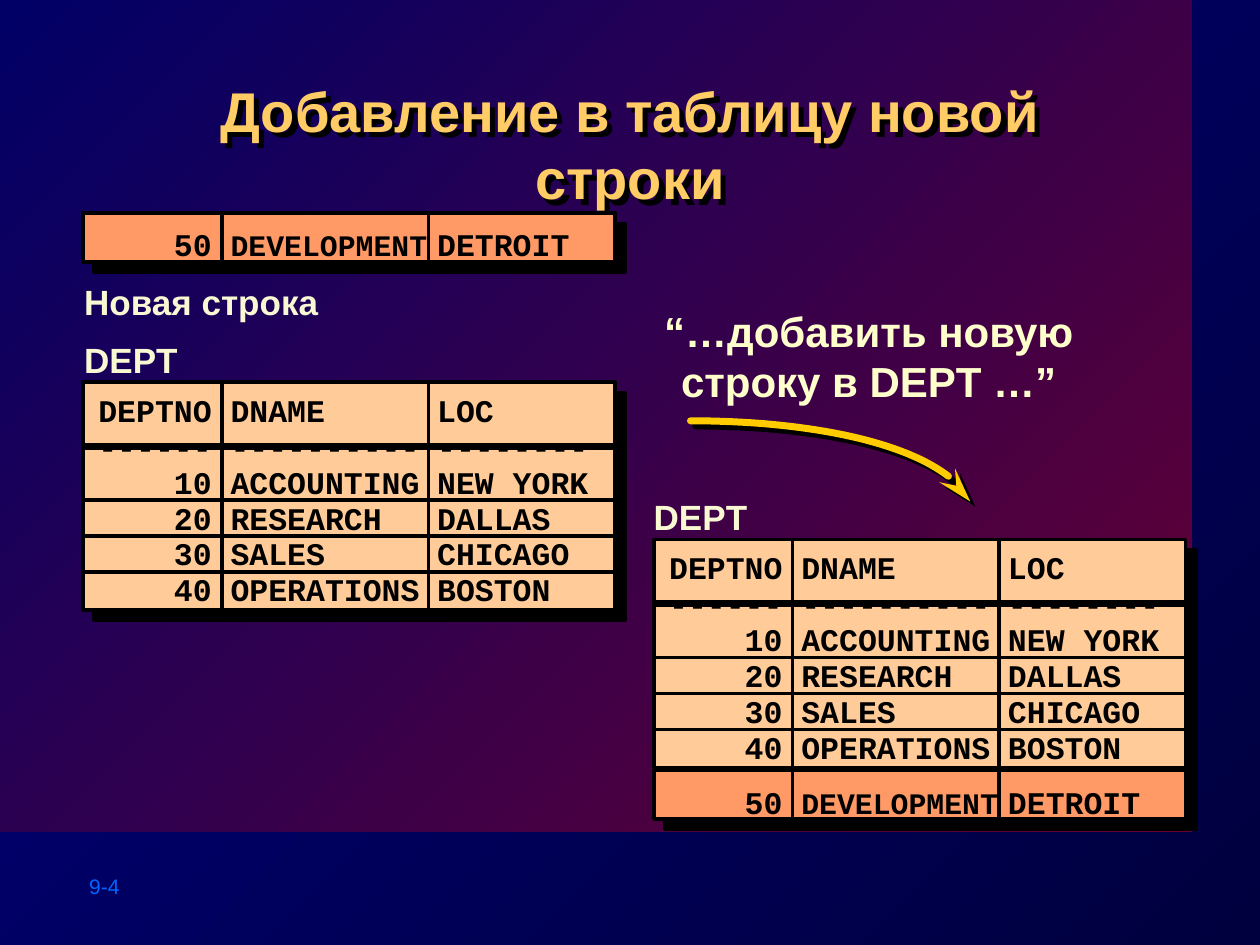
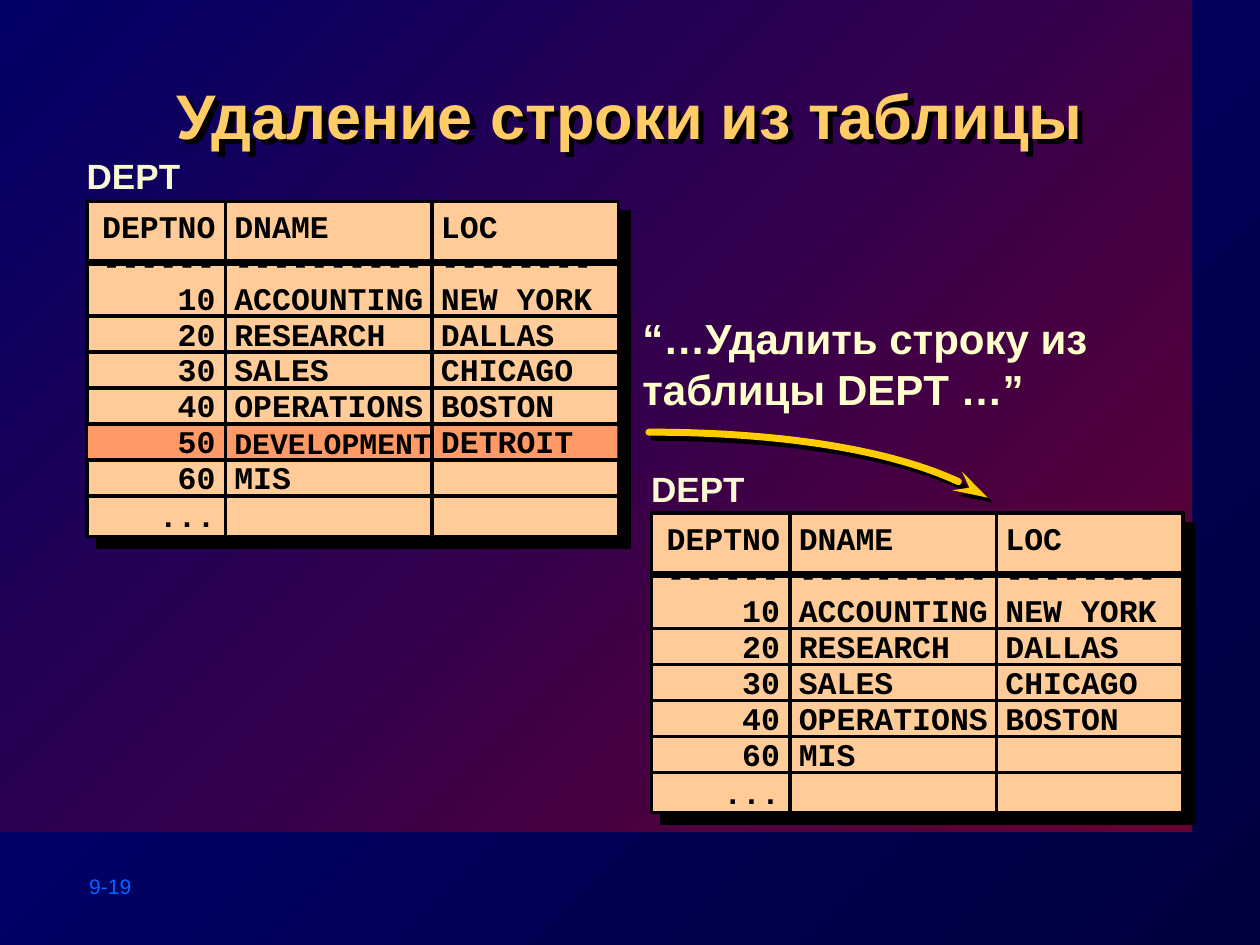
from dataclasses import dataclass
from typing import Optional

from lxml import etree
from pptx import Presentation
from pptx.dml.color import RGBColor as Rgb
from pptx.enum.shapes import MSO_CONNECTOR as Connector, MSO_SHAPE as Preset
from pptx.enum.text import PP_ALIGN as Align
from pptx.oxml.ns import qn
from pptx.util import Emu, Inches, Pt

# Grid: the slide is 100 columns by 75 rows of square cells
COLUMNS, ROWS = 100, 75
CELL = Inches(10) // COLUMNS


@dataclass(frozen=True)
class Theme:
    sans: str = "Arial"
    mono: str = "Courier New"
    black: str = "000000"
    page_dark: str = "00003F"
    page_light: str = "000080"
    band_dark: str = "660033"
    band_light: str = "000066"
    title: str = "FFCC66"
    label: str = "F8F8D3"
    quote: str = "FFFFCC"
    arrow: str = "FFCC00"
    number: str = "0066FF"
    table: str = "FFCC99"
    accent: str = "FF9966"
    label_size: float = 20
    quote_size: float = 24
    quote_spacing: float = 29
    number_size: float = 12
    cell_size: float = 18
    long_cell_size: float = 17
    cell_spacing: float = 20
    thin: float = 2
    thick: float = 4
    panel_shadow: float = 8.5
    small_shadow: float = 4.2


THEME = Theme()

# Measures of the department tables, in grid cells
TABLE_COLUMNS = (11, 16.4, 14.8)
TABLE_WIDTH = sum(TABLE_COLUMNS)
ROW_PITCH = 2.85
HEADER_RULE = 3.9
FIRST_ROW = 4.3
NUMBER_MARGIN = 0.8
TEXT_MARGIN = 0.7
OVERHANG = 0.5

# Table content
HEADER = [("DEPTNO", "DNAME", "LOC"), ("------", "----------", "--------")]
BASE_ROWS = [
    ("10", "ACCOUNTING", "NEW YORK"),
    ("20", "RESEARCH", "DALLAS"),
    ("30", "SALES", "CHICAGO"),
    ("40", "OPERATIONS", "BOSTON"),
]
DEVELOPMENT = ("50", "DEVELOPMENT", "DETROIT")
LAST_ROWS = [("60", "MIS", ""), ("...", "", "")]


@dataclass(frozen=True)
class DeptTable:
    left: float
    top: float
    height: float
    body: list
    text_drop: float
    has_header: bool = True
    color: str = THEME.table
    highlight: Optional[int] = None


@dataclass(frozen=True)
class Label:
    text: str
    left: float
    top: float


@dataclass(frozen=True)
class Quote:
    text: str
    left: float
    top: float
    align: Align


@dataclass(frozen=True)
class Page:
    title: str
    title_size: float
    number: str
    tables: list
    labels: list
    quote: Quote
    curve: tuple  # start, two control points, tip


PAGES = [
    Page(
        "Добавление в таблицу новой строки", 32, "9-4",
        [
            DeptTable(6.6, 30.3, 18.1, BASE_ROWS, 1.2),
            DeptTable(6.6, 16.9, 3.9, [DEVELOPMENT], 1.4, False, THEME.accent),
            DeptTable(51.9, 42.8, 18.1, BASE_ROWS, 1.2),
            DeptTable(51.9, 61.1, 3.9, [DEVELOPMENT], 1.5, False, THEME.accent),
        ],
        [Label("DEPT", 5.7, 26.4), Label("Новая строка", 5.7, 21.8),
         Label("DEPT", 50.9, 38.8)],
        Quote("“…добавить новую\nстроку в DEPT …”", 49.4, 23.7, Align.CENTER),
        ((54.8, 33.4), (66, 33.4), (75, 35.8), (77, 39.8)),
    ),
    Page(
        "Удаление строки из таблицы", 36, "9-19",
        [
            DeptTable(6.9, 16, 26.6, BASE_ROWS + [DEVELOPMENT] + LAST_ROWS,
                      0.9, highlight=4),
            DeptTable(51.7, 40.7, 23.8, BASE_ROWS + LAST_ROWS, 1),
        ],
        [Label("DEPT", 5.9, 11.8), Label("DEPT", 50.7, 36.6)],
        Quote("“…Удалить строку из\nтаблицы DEPT …”", 50, 24.3, Align.LEFT),
        ((51.5, 34.3), (63, 34.3), (73, 36), (78.4, 39.5)),
    ),
]


def cells(count: float) -> Emu:
    return Emu(round(count * CELL))


def set_shadow(item, distance: float = 0) -> None:
    """Give an item a black shadow to the lower right, or none at all."""
    properties = item._element.spPr
    effects = etree.SubElement(properties, qn("a:effectLst"))
    if distance:
        shadow = etree.SubElement(effects, qn("a:outerShdw"), dist=str(Pt(distance)),
                                  dir="2700000", algn="ctr", rotWithShape="0")
        etree.SubElement(shadow, qn("a:srgbClr"), val=THEME.black)


def write(frame, text: str, *, size: float, color: str, font: str = THEME.sans,
          bold: bool = True, align: Align = Align.LEFT, spacing=None) -> None:
    for index, line in enumerate(text.split("\n")):
        para = frame.add_paragraph() if index else frame.paragraphs[0]
        para.alignment = align
        if spacing:
            para.line_spacing = spacing
        span = para.add_run()
        span.text = line
        span.font.name, span.font.size, span.font.bold = font, Pt(size), bold
        span.font.color.rgb = Rgb.from_string(color)


def add_text(slide, text: str, left: float, top: float, width: float,
             height: float, wrap: bool = True, **text_format):
    box = slide.shapes.add_textbox(cells(left), cells(top), cells(width), cells(height))
    box.text_frame.word_wrap = wrap
    write(box.text_frame, text, **text_format)
    return box


def add_box(slide, left: float, top: float, width: float, height: float):
    box = slide.shapes.add_shape(Preset.RECTANGLE, cells(left), cells(top),
                                 cells(width), cells(height))
    box.line.fill.background()
    return box


def fill_solid(box, color: str) -> None:
    box.fill.solid()
    box.fill.fore_color.rgb = Rgb.from_string(color)


def fill_gradient(fill, dark: str, light: str) -> None:
    fill.gradient()
    fill.gradient_angle = 135
    for stop, color in zip(fill.gradient_stops, (dark, light)):
        stop.color.rgb = Rgb.from_string(color)


def set_line(line, color: str, width: float) -> None:
    line.color.rgb = Rgb.from_string(color)
    line.width = Pt(width)


def add_rule(slide, start: tuple, end: tuple, width: float = THEME.thin) -> None:
    rule = slide.shapes.add_connector(Connector.STRAIGHT, *map(cells, start + end))
    set_line(rule.line, THEME.black, width)
    set_shadow(rule)


def add_cell_text(slide, dept: DeptTable, rows: list) -> None:
    frame = slide.shapes.add_table(
        len(rows), len(TABLE_COLUMNS), cells(dept.left), cells(dept.top + dept.text_drop),
        cells(TABLE_WIDTH), cells(ROW_PITCH * len(rows)))
    table = frame.table
    table.first_row = table.horz_banding = False
    style = table._tbl.tblPr.find(qn("a:tableStyleId"))
    style.text = "{2D5ABB26-0587-4C30-8999-92F81FD0307C}"  # no style, no grid
    for column, width in zip(table.columns, TABLE_COLUMNS):
        column.width = cells(width)
    for table_row, values in zip(table.rows, rows):
        table_row.height = cells(ROW_PITCH)
        for index, (cell, value) in enumerate(zip(table_row.cells, values)):
            is_number = index == 0
            cell.fill.background()
            cell.margin_top = cell.margin_bottom = 0
            cell.margin_left = 0 if is_number else cells(TEXT_MARGIN)
            cell.margin_right = cells(NUMBER_MARGIN) if is_number else 0
            size = THEME.long_cell_size if len(value) > 10 else THEME.cell_size
            # Fixed line height keeps every row exactly one pitch tall
            write(cell.text_frame, value, size=size, color=THEME.black, font=THEME.mono,
                  align=Align.RIGHT if is_number else Align.LEFT,
                  spacing=Pt(THEME.cell_spacing))


def draw_dept_table(slide, dept: DeptTable) -> None:
    # Panel with its shadow
    panel = add_box(slide, dept.left, dept.top, TABLE_WIDTH, dept.height)
    fill_solid(panel, dept.color)
    set_line(panel.line, THEME.black, THEME.thin)
    set_shadow(panel, THEME.panel_shadow)

    # Row positions and the marked row
    header_y = dept.top + dept.text_drop + HEADER_RULE
    row_ends = [header_y + FIRST_ROW + index * ROW_PITCH
                for index in range(len(dept.body) - 1)]
    if dept.highlight is not None:
        marker = add_box(slide, dept.left + 0.1, row_ends[dept.highlight - 1],
                         TABLE_WIDTH - 0.2, ROW_PITCH)
        fill_solid(marker, THEME.accent)
        set_shadow(marker)

    add_cell_text(slide, dept, (HEADER if dept.has_header else []) + dept.body)

    # Rules over the text
    right = dept.left + TABLE_WIDTH + 0.2
    if dept.has_header:
        add_rule(slide, (dept.left, header_y), (right, header_y), THEME.thick)
    for y in row_ends:
        add_rule(slide, (dept.left, y), (right, y))
    x = dept.left
    for width in TABLE_COLUMNS[:-1]:
        x += width
        add_rule(slide, (x, dept.top), (x, dept.top + dept.height + OVERHANG))


def draw_curve(slide, curve: tuple, steps: int = 40) -> None:
    def point(t: float) -> tuple:
        weights = ((1 - t) ** 3, 3 * t * (1 - t) ** 2, 3 * t * t * (1 - t), t ** 3)
        return tuple(cells(sum(w * p[axis] for w, p in zip(weights, curve)))
                     for axis in (0, 1))

    builder = slide.shapes.build_freeform(*point(0))
    builder.add_line_segments([point(step / steps) for step in range(1, steps + 1)],
                              close=False)
    arrow = builder.convert_to_shape()
    arrow.fill.background()
    set_line(arrow.line, THEME.arrow, THEME.thick)
    outline = arrow.line._get_or_add_ln()
    outline.set("cap", "rnd")
    etree.SubElement(outline, qn("a:round"))
    etree.SubElement(outline, qn("a:tailEnd"), type="stealth", w="med", len="lg")
    set_shadow(arrow, THEME.small_shadow)


def draw_page(deck, page: Page) -> None:
    slide = deck.slides.add_slide(deck.slide_layouts[6])

    # Background, band, page number and title
    fill_gradient(slide.background.fill, THEME.page_dark, THEME.page_light)
    band = add_box(slide, 0, 0, 94.6, 66)
    fill_gradient(band.fill, THEME.band_dark, THEME.band_light)
    set_shadow(band)
    add_text(slide, page.number, 6.1, 68.8, 11.1, 3, wrap=False,
             size=THEME.number_size, color=THEME.number, bold=False)
    title = add_text(slide, page.title, 10.1, 5.6, 79.8, 9.6, size=page.title_size,
                     color=THEME.title, align=Align.CENTER)
    set_shadow(title, THEME.small_shadow)

    # Tables, labels and the request with its arrow
    for dept in page.tables:
        draw_dept_table(slide, dept)
    for label in page.labels:
        add_text(slide, label.text, label.left, label.top, 20.6, 4.3, wrap=False,
                 size=THEME.label_size, color=THEME.label)
    quote = page.quote
    add_text(slide, quote.text, quote.left, quote.top, 39.1, 9, size=THEME.quote_size,
             color=THEME.quote, align=quote.align, spacing=Pt(THEME.quote_spacing))
    draw_curve(slide, page.curve)


def main() -> None:
    deck = Presentation()
    deck.slide_width, deck.slide_height = cells(COLUMNS), cells(ROWS)
    for page in PAGES:
        draw_page(deck, page)
    deck.save("out.pptx")


if __name__ == "__main__":
    main()
